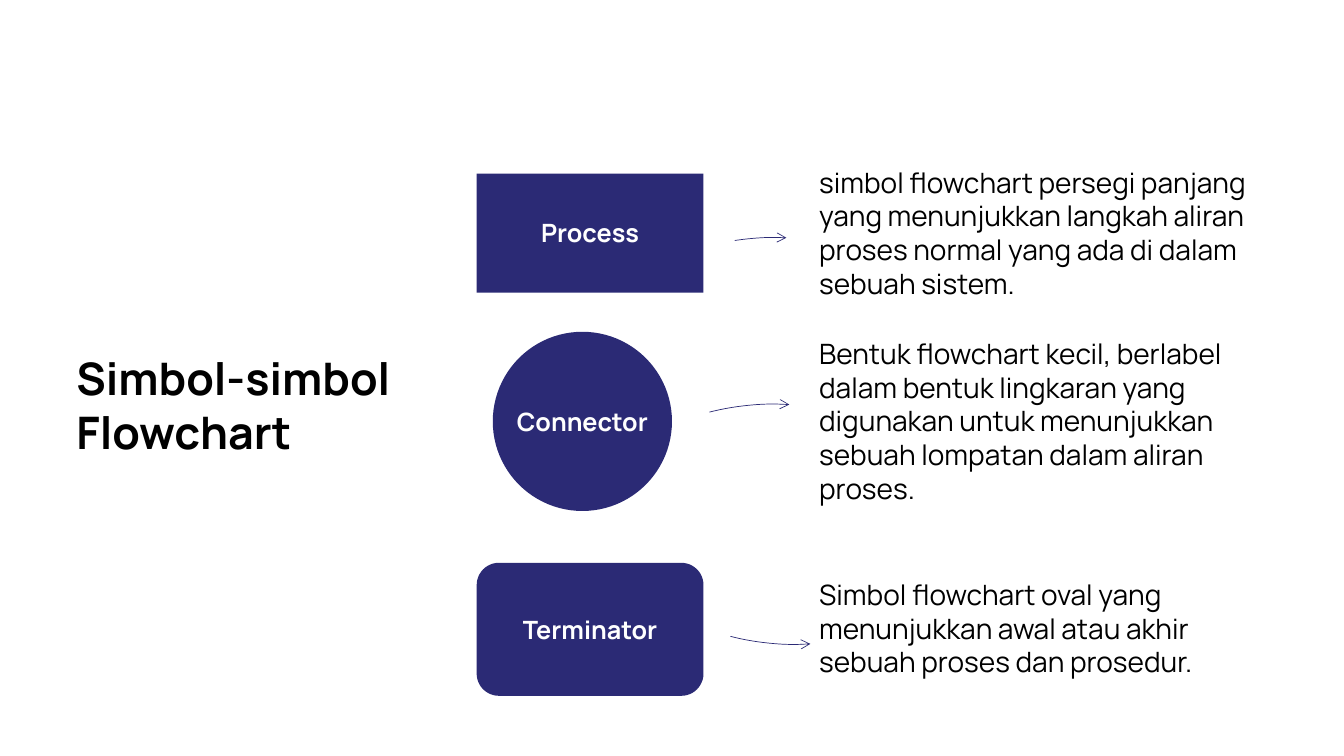
import dataclasses

import pptx
import pptx.dml.color
import pptx.enum.shapes
import pptx.enum.text
import pptx.oxml
import pptx.oxml.ns
import pptx.util

Pt = pptx.util.Pt
SHAPES = pptx.enum.shapes.MSO_SHAPE
ALIGN = pptx.enum.text.PP_ALIGN


@dataclasses.dataclass(frozen=True)
class Theme:
    font: str = "Manrope"
    navy: str = "2B2A75"
    black: str = "000000"
    white: str = "FFFFFF"
    title_size: int = 32
    body_size: int = 20
    label_size: int = 18
    arrow_width: float = 0.5


class FlowchartSlide:
    def __init__(self, presentation, theme):
        self.theme = theme
        self.slide = presentation.slides.add_slide(presentation.slide_layouts[6])

    def color(self, value):
        return pptx.dml.color.RGBColor.from_string(value)

    def text(self, box, content, size, color, bold=False, align=ALIGN.LEFT):
        shape = self.slide.shapes.add_textbox(*map(Pt, box))
        text_frame = shape.text_frame
        text_frame.word_wrap = True
        text_frame.auto_size = pptx.enum.text.MSO_AUTO_SIZE.SHAPE_TO_FIT_TEXT
        text_frame.text = content
        paragraph = text_frame.paragraphs[0]
        paragraph.alignment = align
        font = paragraph.runs[0].font
        font.name = self.theme.font
        font.size = Pt(size)
        font.bold = bold
        font.color.rgb = self.color(color)

    def title(self, box, content):
        self.text(box, content, self.theme.title_size, self.theme.black, bold=True)

    def description(self, box, content):
        self.text(box, content, self.theme.body_size, self.theme.black)

    def symbol(self, kind, box, label, label_width):
        shape = self.slide.shapes.add_shape(kind, *map(Pt, box))
        shape.shadow.inherit = False
        shape.fill.solid()
        shape.fill.fore_color.rgb = self.color(self.theme.navy)
        shape.line.fill.background()
        left, top, width, height = box
        label_height = 29
        label_box = (left + (width - label_width) / 2,
                     top + (height - label_height) / 2, label_width, label_height)
        self.text(label_box, label, self.theme.label_size, self.theme.white,
                  bold=True, align=ALIGN.CENTER)

    def curved_arrow(self, left, top, start, end, rotation, flipped):
        shape = self.slide.shapes.add_shape(
            SHAPES.ARC, Pt(left), Pt(top), Pt(137.5), Pt(49))
        shape.shadow.inherit = False
        shape.adjustments[0] = start
        shape.adjustments[1] = end
        shape.rotation = rotation
        shape.fill.background()
        shape.line.color.rgb = self.color(self.theme.navy)
        shape.line.width = Pt(self.theme.arrow_width)
        if flipped:
            shape.element.spPr.find(pptx.oxml.ns.qn("a:xfrm")).set("flipV", "1")
        line = shape.element.spPr.find(pptx.oxml.ns.qn("a:ln"))
        line.append(pptx.oxml.parse_xml(
            f'<a:tailEnd {pptx.oxml.ns.nsdecls("a")} type="arrow"/>'))


SYMBOLS = [
    dict(
        symbol=(SHAPES.RECTANGLE, (340.5, 124, 162, 85), "Process", 88.5),
        description=((578, 114.5, 361, 104.5),
                     "simbol flowchart persegi panjang yang menunjukkan langkah "
                     "aliran proses normal yang ada di dalam sebuah sistem."),
        arrow=(468, 170.5, 149.18, 192.38, 354.2, False),
    ),
    dict(
        symbol=(SHAPES.OVAL, (352, 237, 128, 128), "Connector", 109.5),
        description=((578, 237, 361, 128),
                     "Bentuk flowchart kecil, berlabel dalam bentuk lingkaran yang "
                     "digunakan untuk menunjukkan sebuah lompatan dalam aliran proses."),
        arrow=(467.5, 289.5, 131.65, 194.19, 354.2, False),
    ),
    dict(
        symbol=(SHAPES.ROUNDED_RECTANGLE, (340.5, 402, 162, 95), "Terminator", 119),
        description=((578, 409, 322, 80),
                     "Simbol flowchart oval yang menunjukkan awal atau akhir "
                     "sebuah proses dan prosedur."),
        arrow=(482.5, 410.5, 131.65, 194.19, 5.8, True),
    ),
]


def main():
    presentation = pptx.Presentation()
    presentation.slide_width = Pt(960)
    presentation.slide_height = Pt(540)
    page = FlowchartSlide(presentation, Theme())
    page.title((47.5, 247, 280, 85), "Simbol-simbol Flowchart")
    for row in SYMBOLS:
        page.symbol(*row["symbol"])
        page.description(*row["description"])
        page.curved_arrow(*row["arrow"])
    presentation.save("out.pptx")


if __name__ == "__main__":
    main()
